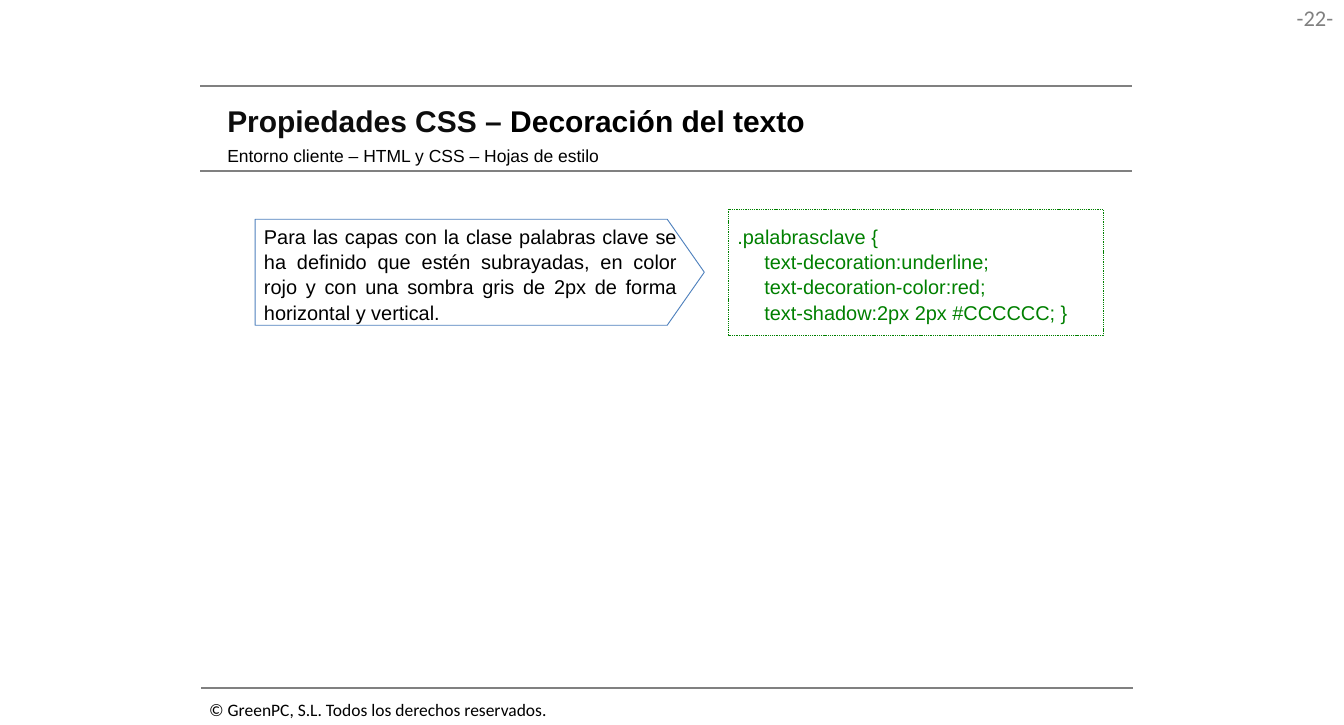
from dataclasses import dataclass

from lxml import etree
from pptx import Presentation
from pptx.dml.color import RGBColor
from pptx.enum.dml import MSO_LINE
from pptx.enum.shapes import MSO_CONNECTOR, MSO_SHAPE
from pptx.enum.text import MSO_ANCHOR, PP_ALIGN
from pptx.oxml.ns import qn
from pptx.util import Inches, Pt

LEFT, RIGHT, JUST = PP_ALIGN.LEFT, PP_ALIGN.RIGHT, PP_ALIGN.JUSTIFY
TOP, MIDDLE = MSO_ANCHOR.TOP, MSO_ANCHOR.MIDDLE
RECT, ARROW = MSO_SHAPE.RECTANGLE, MSO_SHAPE.PENTAGON
STRAIGHT, DASH = MSO_CONNECTOR.STRAIGHT, MSO_LINE.DASH


@dataclass(frozen=True)
class Theme:
    sans: str = "Arial"
    plain: str = "Calibri"
    black: str = "000000"
    dark: str = "0D0D0D"
    gray: str = "808080"
    green: str = "008000"
    blue: str = "4F81BD"
    white: str = "FFFFFF"
    title: int = 24
    number: int = 18
    body: int = 16
    small: int = 14
    spacing: float = 1.05


THEME = Theme()


def color(code):
    return RGBColor.from_string(code)


def style(par, size, code, face=THEME.sans, bold=False):
    font = par.font
    font.name, font.size, font.bold = face, Pt(size), bold
    font.color.rgb = color(code)


def setup(frame, pad, anchor=TOP, wrap=True):
    frame.margin_left = frame.margin_right = Inches(pad[0])
    frame.margin_top = frame.margin_bottom = Inches(pad[1])
    frame.vertical_anchor = anchor
    frame.word_wrap = wrap
    return frame


def text_box(slide, box, pad, anchor=TOP, wrap=True):
    shape = slide.shapes.add_textbox(*map(Inches, box))
    return setup(shape.text_frame, pad, anchor, wrap)


def panel(slide, kind, box, line, width, pad):
    shape = slide.shapes.add_shape(kind, *map(Inches, box))
    shape.shadow.inherit = False
    shape.fill.background()
    shape.line.color.rgb = color(line)
    shape.line.width = Pt(width)
    setup(shape.text_frame, pad)
    return shape


def rule(slide, x, y, width):
    line = slide.shapes.add_connector(
        STRAIGHT, Inches(x), Inches(y), Inches(x + width), Inches(y))
    line.line.color.rgb = color(THEME.gray)
    line.line.width = Pt(1.5)
    etree.SubElement(line._element.spPr, qn("a:effectLst"))


def page_number(slide, box):
    par = text_box(slide, box, (0.11, 0.05), wrap=False).paragraphs[0]
    par.text = "-22-"
    par.alignment = RIGHT
    style(par, THEME.number, THEME.gray, THEME.plain)


def header(slide, box):
    x, y, width, height = box
    for edge in (y, y + height):
        rule(slide, x, edge, width)
    pad = (0.13, 0.07)

    # Title in two shades
    par = text_box(slide, (x + 0.17, y + 0.11, 10.12, 0.54),
                   pad, MIDDLE).paragraphs[0]
    style(par, THEME.title, THEME.black, bold=True)
    for words, code in (("Propiedades CSS – ", THEME.dark),
                        ("Decoración del texto", THEME.black)):
        run = par.add_run()
        run.text = words
        run.font.color.rgb = color(code)

    # Subtitle
    par = text_box(slide, (x + 0.17, y + 0.59, 7.6, 0.37),
                   pad, MIDDLE).paragraphs[0]
    par.text = "Entorno cliente – HTML y CSS – Hojas de estilo"
    style(par, THEME.small, THEME.black)


def code_box(slide, box):
    shape = panel(slide, RECT, box, THEME.green, 0.25, (0.1, 0.16))
    shape.fill.solid()
    shape.fill.fore_color.rgb = color(THEME.white)
    shape.line.dash_style = DASH
    frame = shape.text_frame
    frame.text = "\n".join((
        ".palabrasclave {",
        "text-decoration:underline;",
        "text-decoration-color:red;",
        "text-shadow:2px 2px #CCCCCC; }",
    ))
    for i, par in enumerate(frame.paragraphs):
        # Declarations sit one step in from the selector
        par._p.get_or_add_pPr().set("marL", str(Inches(0.3 if i else 0)))
        par.alignment = LEFT
        par.line_spacing = THEME.spacing
        style(par, THEME.body, THEME.green)


def remark(slide, box):
    shape = panel(slide, ARROW, box, THEME.blue, 0.75, (0.1, 0.05))
    shape.adjustments[0] = 0.35
    par = shape.text_frame.paragraphs[0]
    par.text = ("Para las capas con la clase palabras clave se ha definido "
                "que estén subrayadas, en color rojo y con una sombra gris "
                "de 2px de forma horizontal y vertical.")
    par.alignment = JUST
    par.line_spacing = THEME.spacing
    style(par, THEME.body, THEME.black)


def footer(slide, box):
    x, y, width, height = box
    rule(slide, x, y, width)
    par = text_box(slide, (x - 0.01, y + 0.07, 3.99, height - 0.07),
                   (0.1, 0.05), wrap=False).paragraphs[0]
    par.text = "© GreenPC, S.L. Todos los derechos reservados."
    style(par, THEME.small, THEME.black, THEME.plain)


def main():
    deck = Presentation()
    deck.slide_width, deck.slide_height = Inches(14.96), Inches(8.07)
    slide = deck.slides.add_slide(deck.slide_layouts[6])
    page_number(slide, (14.13, 0, 0.82, 0.41))
    header(slide, (2.23, 0.96, 10.37, 0.94))
    footer(slide, (2.24, 7.66, 10.37, 0.41))
    code_box(slide, (8.11, 2.33, 4.17, 1.4))
    remark(slide, (2.84, 2.44, 5, 1.18))
    deck.save("out.pptx")


if __name__ == "__main__":
    main()
